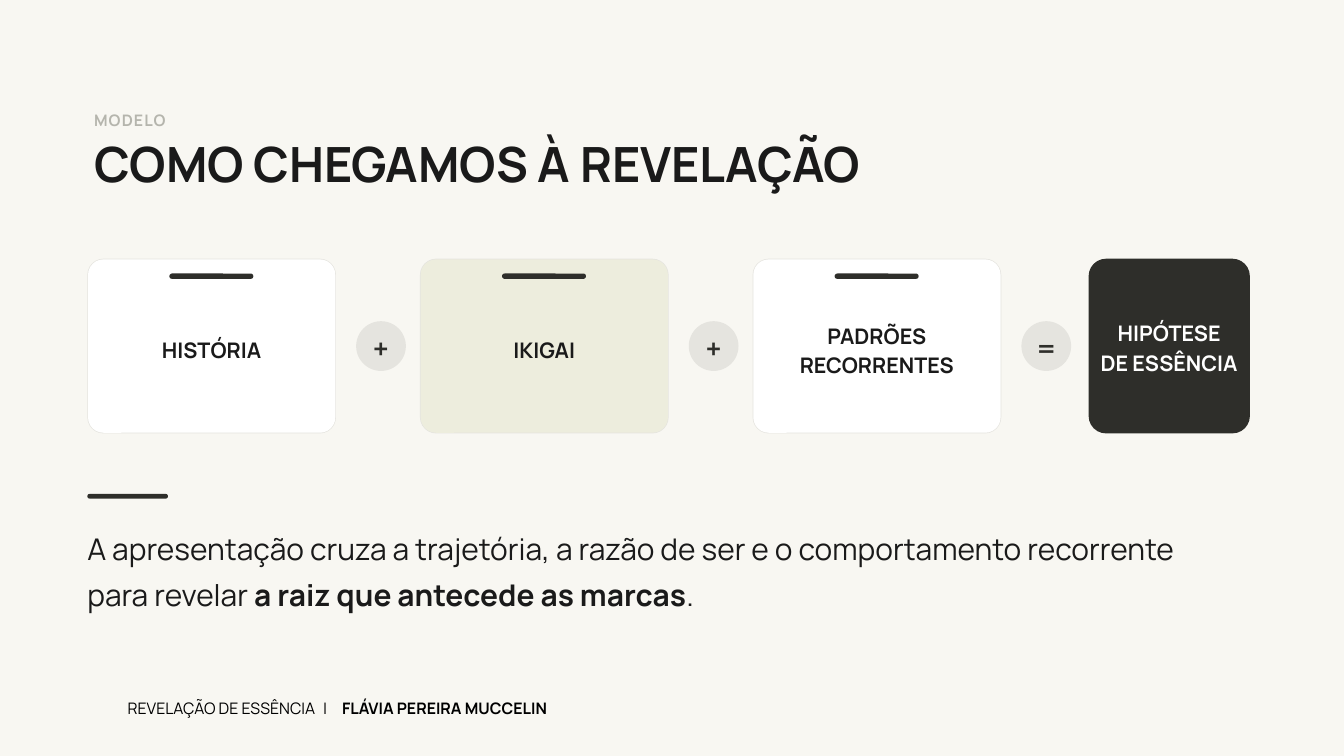
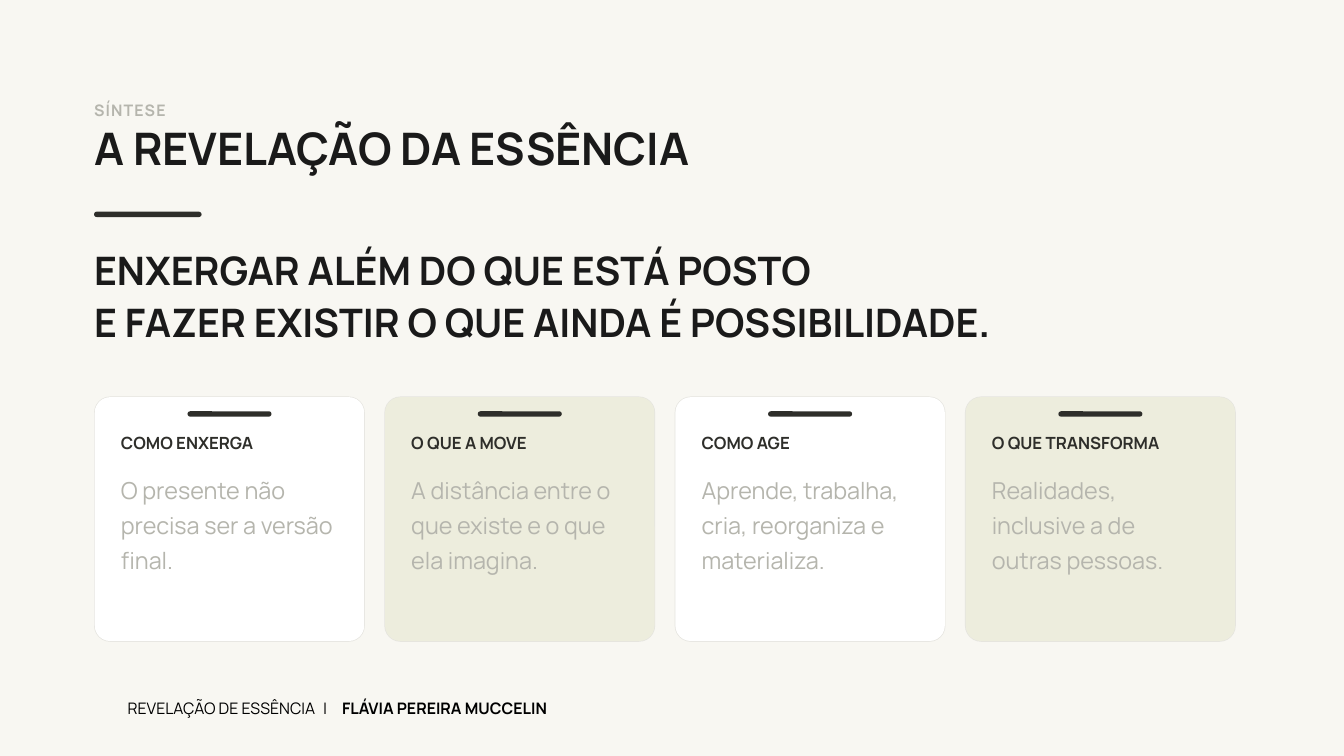
from lxml.etree import SubElement
from pptx import Presentation
from pptx.dml.color import RGBColor
from pptx.enum.shapes import MSO_SHAPE as SHAPE
from pptx.enum.text import MSO_ANCHOR as ANCHOR, MSO_AUTO_SIZE as AUTO_SIZE, PP_ALIGN as ALIGN
from pptx.oxml.ns import qn
from pptx.util import Pt

PX = 9144
FONT = "Manrope"
COLORS = {
    "paper": "F8F7F2",
    "ink": "1A1A1A",
    "dark": "2E2E2A",
    "muted": "B5B5AD",
    "edge": "E5E4DF",
    "white": "FFFFFF",
    "sage": "EDEDDD",
    "black": "000000",
}
CARD_FACES = ("white", "sage")


def color(name):
    return RGBColor.from_string(COLORS[name])


def emu(*lengths):
    return [length * PX for length in lengths]


def add_tabs(paragraph, stops):
    tab_list = SubElement(paragraph._p.get_or_add_pPr(), qn("a:tabLst"))
    for stop in stops:
        SubElement(tab_list, qn("a:tab"), pos=str(stop * PX), algn="l")


def write(frame, paragraphs, size, ink, bold=False, spacing=1.15,
          align=ALIGN.LEFT, anchor=ANCHOR.TOP, tracking=0, tabs=()):
    frame.word_wrap = True
    frame.auto_size = AUTO_SIZE.NONE
    frame.vertical_anchor = anchor
    frame.margin_left = frame.margin_top = frame.margin_right = frame.margin_bottom = 0
    for index, runs in enumerate(paragraphs):
        paragraph = frame.add_paragraph() if index else frame.paragraphs[0]
        paragraph.alignment = align
        paragraph.line_spacing = spacing
        if tabs:
            add_tabs(paragraph, tabs)
        paragraph.font.name = FONT
        paragraph.font.size = Pt(size)
        paragraph.font.color.rgb = color(ink)
        if isinstance(runs, str):
            paragraph.font.bold = bold
            runs = [(runs, None)]
        for text, run_bold in runs:
            run = paragraph.add_run()
            run.text = text
            if run_bold is not None:
                run.font.bold = run_bold
            if tracking:
                run._r.get_or_add_rPr().set("spc", str(tracking))


def add_text(slide, box, paragraphs, size, ink, **style):
    write(slide.shapes.add_textbox(*emu(*box)).text_frame, paragraphs, size, ink, **style)


def add_filled(slide, kind, box, fill):
    shape = slide.shapes.add_shape(kind, *emu(*box))
    shape.shadow.inherit = False
    shape.fill.solid()
    shape.fill.fore_color.rgb = color(fill)
    shape.line.fill.background()
    return shape


def add_rounded(slide, box, radius, fill):
    shape = add_filled(slide, SHAPE.ROUNDED_RECTANGLE, box, fill)
    shape.adjustments[0] = radius / min(box[2:])
    return shape


def add_bar(slide, box):
    add_rounded(slide, box, box[3] / 2, "dark")


def add_card(slide, box, face):
    left, top, width, height = box
    add_rounded(slide, box, 24, "edge")
    add_rounded(slide, (left + 1, top + 1, width - 2, height - 2), 23, face)
    add_bar(slide, (left + (width - 125) // 2, top + 22, 125, 8))


def add_header(slide, box, kicker, title, title_offset, title_size):
    left, top, width, height = box
    add_text(slide, (left, top, 1400, 45), [kicker], 17, "muted", bold=True, tracking=120)
    heading = slide.shapes.title
    heading.left, heading.top, heading.width, heading.height = emu(
        left, top + title_offset, width, height - title_offset)
    write(heading.text_frame, [title], title_size, "ink", bold=True, spacing=1.05)


def add_footer(slide, box):
    runs = [("REVELAÇÃO DE ESSÊNCIA\t|\t", False), ("FLÁVIA PEREIRA MUCCELIN", True)]
    add_text(slide, box, [runs], 17, "black", tabs=(291, 319))


def new_slide(prs):
    slide = prs.slides.add_slide(prs.slide_layouts[5])
    slide.background.fill.solid()
    slide.background.fill.fore_color.rgb = color("paper")
    add_footer(slide, (190, 1036, 1150, 40))
    return slide


def add_equation(slide, box, terms, result):
    left, top, width, height = box
    card_width, operator_gap, operator_size, pitch, result_width = 370, 30, 74, 495, 240
    for index, (label, operator) in enumerate(terms):
        x = left + index * pitch
        add_card(slide, (x, top, card_width, height), CARD_FACES[index % 2])
        add_text(slide, (x + 22, top + 8, card_width - 44, height - 8), label, 23, "ink",
                 bold=True, spacing=1.12, align=ALIGN.CENTER, anchor=ANCHOR.MIDDLE)
        circle = add_filled(slide, SHAPE.OVAL, (
            x + card_width + operator_gap, top + (height - operator_size) // 2,
            operator_size, operator_size), "edge")
        write(circle.text_frame, [operator], 30, "dark", bold=True,
              align=ALIGN.CENTER, anchor=ANCHOR.MIDDLE)
    hypothesis = add_rounded(
        slide, (left + width - result_width, top, result_width, height), 26, "dark")
    write(hypothesis.text_frame, result, 23, "white", bold=True,
          align=ALIGN.CENTER, anchor=ANCHOR.MIDDLE)


def add_facets(slide, box, facets):
    left, top, width, height = box
    gap, inset = 29, 40
    card_width = (width - gap * (len(facets) - 1)) // len(facets)
    for index, (heading, body) in enumerate(facets):
        x = left + index * (card_width + gap)
        text_width = card_width - 2 * inset
        add_card(slide, (x, top, card_width, height), CARD_FACES[index % 2])
        add_text(slide, (x + inset, top + 48, text_width, 49), [heading], 18, "dark",
                 bold=True, spacing=1.18)
        add_text(slide, (x + inset, top + 108, text_width, 230), [body], 25, "muted",
                 spacing=1.25)


def build_model(prs):
    slide = new_slide(prs)
    add_header(slide, (140, 160, 1720, 136), "MODELO", "COMO CHEGAMOS À REVELAÇÃO", 35, 52)
    add_equation(slide, (130, 385, 1730, 260), [
        (["HISTÓRIA"], "+"),
        (["IKIGAI"], "+"),
        (["PADRÕES", "RECORRENTES"], "="),
    ], ["HIPÓTESE", "DE ESSÊNCIA"])
    add_bar(slide, (130, 735, 120, 7))
    add_text(slide, (130, 775, 1660, 300), [[
        ("A apresentação cruza a trajetória, a razão de ser e o comportamento "
         "recorrente para revelar ", False),
        ("a raiz que antecede as marcas", True),
        (".", False),
    ]], 32, "ink", spacing=1.28)


def build_synthesis(prs):
    slide = new_slide(prs)
    add_header(slide, (140, 145, 1720, 125), "SÍNTESE", "A REVELAÇÃO DA ESSÊNCIA", 30, 48)
    add_bar(slide, (140, 315, 160, 8))
    add_text(slide, (140, 360, 1720, 220), [
        "ENXERGAR ALÉM DO QUE ESTÁ POSTO",
        "E FAZER EXISTIR O QUE AINDA É POSSIBILIDADE.",
    ], 42, "ink", bold=True, spacing=1.1)
    add_facets(slide, (140, 590, 1699, 365), [
        ("COMO ENXERGA", "O presente não precisa ser a versão final."),
        ("O QUE A MOVE", "A distância entre o que existe e o que ela imagina."),
        ("COMO AGE", "Aprende, trabalha, cria, reorganiza e materializa."),
        ("O QUE TRANSFORMA", "Realidades, inclusive a de outras pessoas."),
    ])


def main():
    prs = Presentation()
    prs.slide_width, prs.slide_height = emu(2000, 1125)
    build_model(prs)
    build_synthesis(prs)
    prs.save("out.pptx")


if __name__ == "__main__":
    main()
